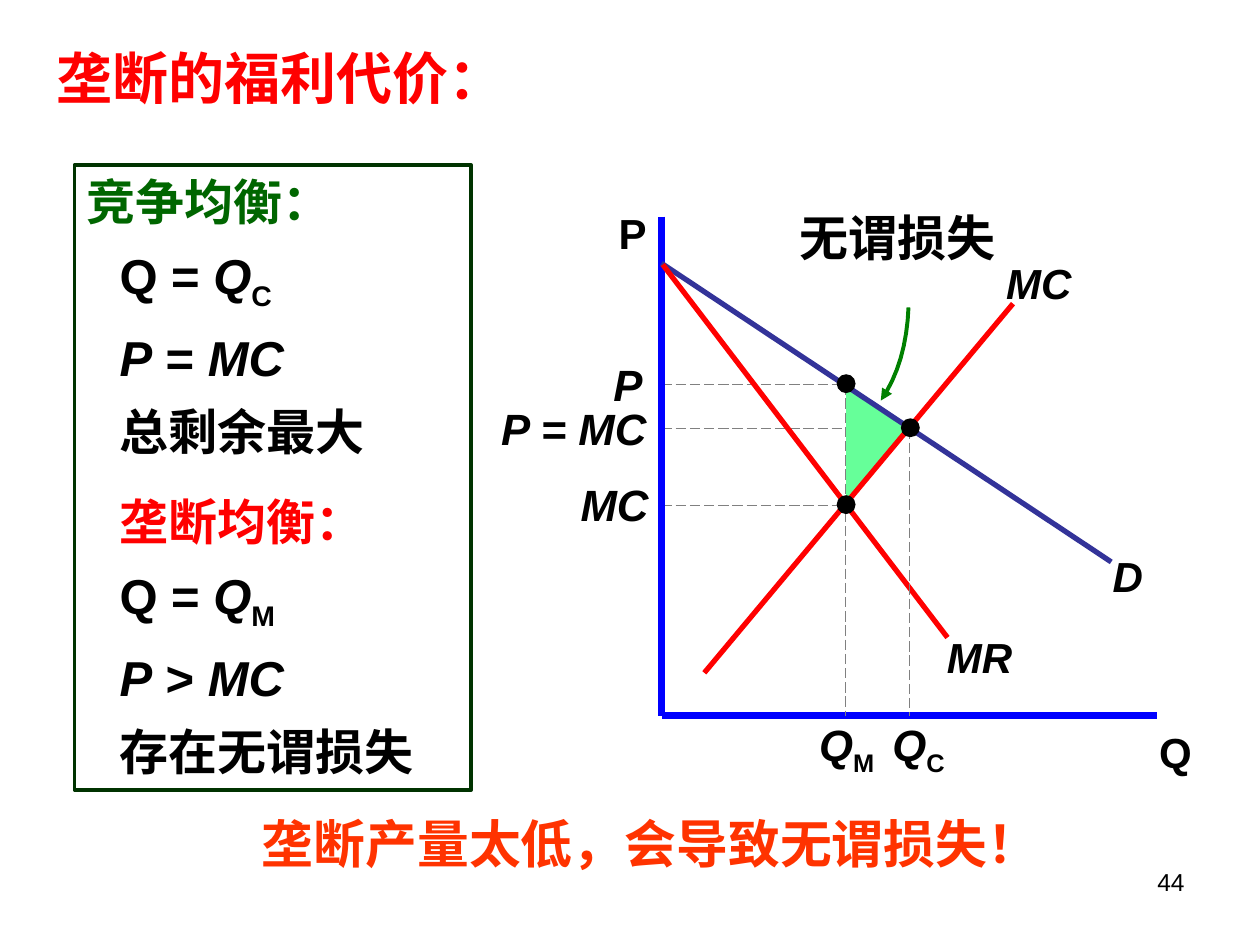
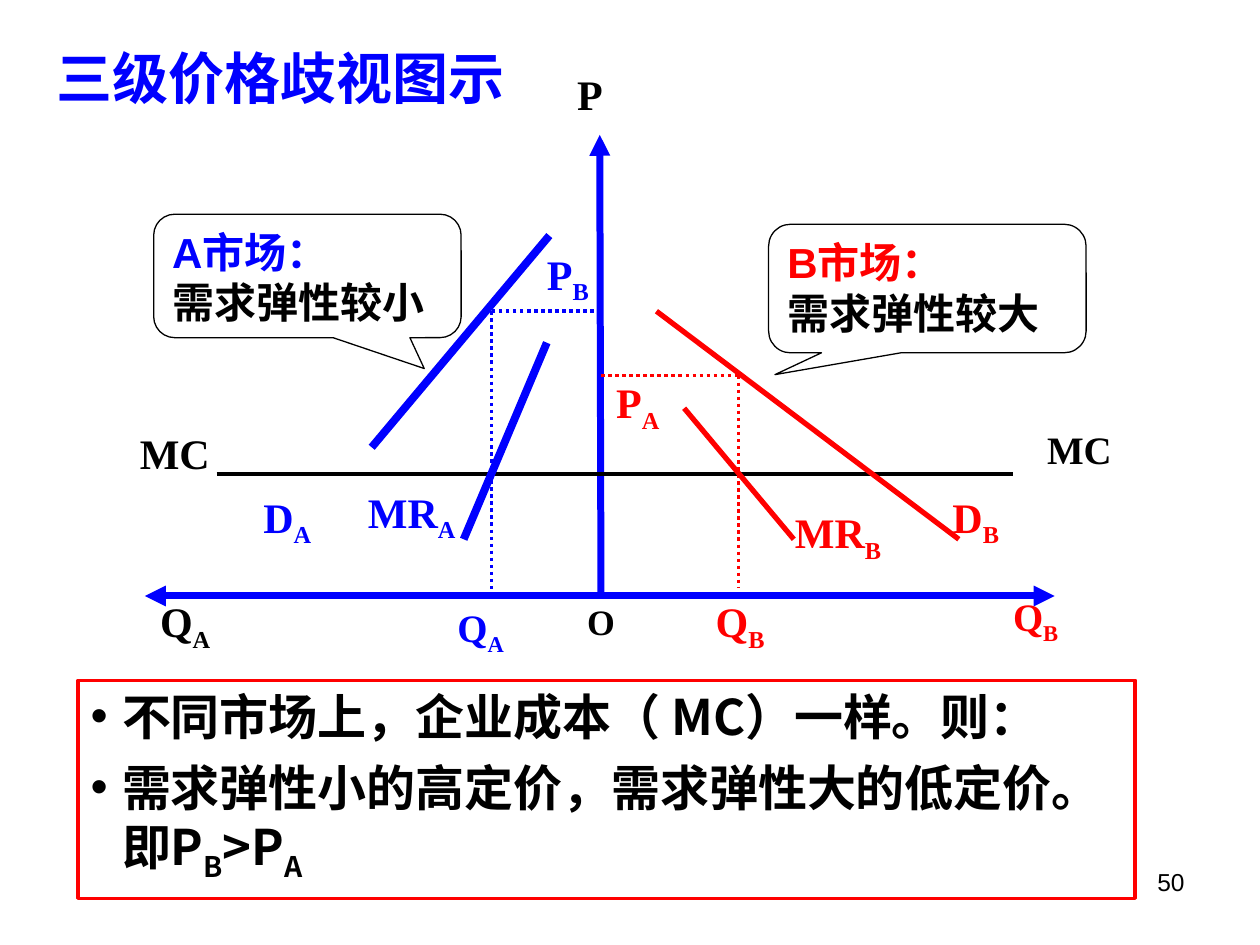
import pptx
import pptx.util
import pptx.dml.color
import pptx.enum.dml
import pptx.enum.shapes
import pptx.enum.text
import pptx.oxml.ns
import lxml.etree

Inches = pptx.util.Inches
Pt = pptx.util.Pt
RGBColor = pptx.dml.color.RGBColor
Shape = pptx.enum.shapes.MSO_SHAPE
Align = pptx.enum.text.PP_ALIGN
Anchor = pptx.enum.text.MSO_ANCHOR
Dash = pptx.enum.dml.MSO_LINE
qn = pptx.oxml.ns.qn

BLACK = RGBColor(0, 0, 0)
WHITE = RGBColor(255, 255, 255)
RED = RGBColor(255, 0, 0)
BLUE = RGBColor(0, 0, 255)
GRAY = RGBColor(128, 128, 128)
NAVY = RGBColor(51, 51, 153)
GREEN = RGBColor(0, 128, 0)
MINT = RGBColor(102, 255, 153)
DARK = RGBColor(0, 51, 0)
LEAF = RGBColor(0, 102, 0)
ORANGE = RGBColor(255, 51, 0)
SANS, SERIF, HAN = "Arial", "Times New Roman", "Noto Sans CJK SC"
WIDE = (0.1, 0.05, 0.1, 0.05)
SLIM = (0.05, 0.02, 0.05, 0.02)
NONE = (0, 0, 0, 0)


class Deck:
    def __init__(self):
        self.prs = pptx.Presentation()
        self.prs.slide_width = Inches(10)
        self.prs.slide_height = Inches(7.5)
        self.slide = None

    def start(self, title, color, number, font=SANS):
        self.slide = self.prs.slides.add_slide(self.prs.slide_layouts[6])
        box = self.text((0.35, 0.28, 9, 0.67), title, 32, color, font)
        box.text_frame.vertical_anchor = Anchor.MIDDLE
        self.text((7.17, 6.83, 2.33, 0.52), number, 14, bold=False, align=Align.RIGHT)

    def para(self, par, text, size, color=BLACK, font=SANS, bold=True,
             align=None, gap=0, lead=None, left=0, bullet=False):
        for part in text.split("|"):
            run = par.add_run()
            run.text = part.lstrip("*_")
            if part.startswith("*"):
                run.font.italic = True
            if part.startswith("_"):
                run._r.get_or_add_rPr().set("baseline", "-25000")
        props = par._p.get_or_add_pPr()
        if left:
            props.set("marL", str(Inches(left)))
        if bullet:
            props.set("indent", str(-Inches(left)))
            lxml.etree.SubElement(props, qn("a:buFont")).set("typeface", SANS)
            lxml.etree.SubElement(props, qn("a:buChar")).set("char", "•")
        par.font.size = Pt(size)
        par.font.bold = bold
        par.font.color.rgb = color
        par.font.name = font
        asian = lxml.etree.SubElement(props.find(qn("a:defRPr")), qn("a:ea"))
        asian.set("typeface", HAN)
        if align is not None:
            par.alignment = align
        if gap:
            par.space_before = Pt(gap)
        if lead:
            par.line_spacing = lead

    def fill(self, shape, rows, pad=WIDE):
        frame = shape.text_frame
        frame.word_wrap = True
        frame.vertical_anchor = Anchor.TOP
        sides = map(Inches, pad)
        (frame.margin_left, frame.margin_top,
         frame.margin_right, frame.margin_bottom) = sides
        for i, row in enumerate(rows):
            par = frame.paragraphs[0] if i == 0 else frame.add_paragraph()
            self.para(par, **{"align": Align.LEFT, **row})

    def text(self, at, text, size, color=BLACK, font=SANS, pad=WIDE, **more):
        box = self.slide.shapes.add_textbox(*map(Inches, at))
        self.fill(box, [dict(text=text, size=size, color=color, font=font, **more)], pad)
        return box

    def label(self, at, text, size=24, color=BLACK):
        lead = None if size == 24 else 0.9
        return self.text(at, text, size, color, SERIF, SLIM,
                         align=Align.JUSTIFY, lead=lead)

    def shape(self, kind, at, color=None, edge=None, width=0.75):
        shape = self.slide.shapes.add_shape(kind, *map(Inches, at))
        self.paint(shape, color, edge, width)
        return shape

    def paint(self, shape, color, edge, width):
        shape.shadow.inherit = False
        if color is None:
            shape.fill.background()
        else:
            shape.fill.solid()
            shape.fill.fore_color.rgb = color
        if edge is None:
            shape.line.fill.background()
        else:
            shape.line.color.rgb = edge
            shape.line.width = Pt(width)

    def tips(self, shape, *ends):
        line = shape.line._get_or_add_ln()
        for end in ends:
            lxml.etree.SubElement(line, qn("a:" + end)).set("type", "triangle")

    def line(self, x1, y1, x2, y2, color, width, dash=None, ends=()):
        kind = pptx.enum.shapes.MSO_CONNECTOR.STRAIGHT
        line = self.slide.shapes.add_connector(kind, *map(Inches, (x1, y1, x2, y2)))
        line.line.color.rgb = color
        line.line.width = Pt(width)
        if dash:
            line.line.dash_style = dash
        self.tips(line, *ends)
        lxml.etree.SubElement(line._element.spPr, qn("a:effectLst"))

    def guide(self, *ends):
        self.line(*ends, GRAY, 0.75, Dash.LONG_DASH)

    def curve(self, knots, color, width, steps=8):
        points = []
        for i in range(steps + 1):
            t = i / steps
            u = 1 - t
            mix = (u ** 3, 3 * u * u * t, 3 * u * t * t, t ** 3)
            points.append(tuple(Inches(sum(m * k[n] for m, k in zip(mix, knots)))
                                for n in (0, 1)))
        path = self.slide.shapes.build_freeform(*points[0])
        path.add_line_segments(points[1:], close=False)
        arc = path.convert_to_shape()
        self.paint(arc, None, color, width)
        self.tips(arc, "tailEnd")

    def call(self, at, adjust, head, color, body):
        box = self.shape(Shape.ROUNDED_RECTANGULAR_CALLOUT, at, WHITE, BLACK)
        for i, value in enumerate(adjust):
            box.adjustments[i] = value
        self.fill(box, [dict(text=head, size=24, color=color),
                        dict(text=body, size=24)])


def welfare(deck):
    deck.start("垄断的福利代价：", RED, "44")
    low, price, rival, cost = 5.68, 3.05, 3.4, 4.01
    axis, mono, comp = 5.25, 6.71, 7.22
    deck.guide(axis, rival, comp, rival)
    wedge = deck.shape(Shape.ISOSCELES_TRIANGLE, (6.49, 3.29, 0.93, 0.48), MINT)
    wedge.rotation = 90
    wedge.adjustments[0] = 0.36
    deck.text((6.12, 1.6, 2, 0.57), "无谓损失", 28, align=Align.CENTER)
    deck.curve([(7.21, 2.44), (7.2, 2.72), (7.13, 2.98), (6.99, 3.18)], GREEN, 2.25)
    for y in (cost, price):
        deck.guide(axis, y, mono, y)
    for x, y, text in ((3.88, 3.14, "*P = MC"), (4.77, 2.79, "*P"), (4.51, 3.74, "*MC")):
        deck.text((x, y, 1.5, 0.52), text, 25)

    panel = deck.shape(Shape.RECTANGLE, (0.59, 1.31, 3.15, 4.96), None, DARK, 2)
    item = dict(size=28, gap=7, lead=1.05, left=0.26)
    rows = [dict(text="竞争均衡：", size=28, color=LEAF)]
    rows += [dict(item, text=t) for t in ("Q = |*Q|_C", "*P| = |*MC", "总剩余最大")]
    rows.append(dict(text="垄断均衡：", size=28, color=RED, gap=17.5, left=0.26))
    rows += [dict(item, text=t) for t in ("Q = |*Q|_M", "*P| > |*MC", "存在无谓损失")]
    deck.fill(panel, rows)

    deck.line(axis, 1.72, axis, low, BLUE, 4)
    deck.line(axis, low, 9.18, low, BLUE, 4)
    deck.text((8.1, 5.77, 1.36, 0.4), "Q", 24, pad=NONE, align=Align.RIGHT)
    deck.text((3.49, 1.6, 1.74, 0.5), "P", 24, align=Align.RIGHT)
    for ends, color, name, at in (
            ((axis, 2.09, 8.82, 4.46), NAVY, "*D", (8.71, 4.37, 0.48, 0.4)),
            ((5.26, 2.1, 7.52, 5.06), RED, "*MR", (7.45, 5.01, 0.65, 0.4)),
            ((5.59, 5.34, 8.04, 2.41), RED, "*MC", (7.92, 2.04, 0.65, 0.4))):
        deck.line(*ends, color, 3)
        deck.text(at, name, 24, pad=NONE, align=Align.CENTER)
    for x, y, left, name in ((mono, price, 6.45, "*Q|_M"), (comp, rival, 7.02, "*Q|_C")):
        deck.guide(x, y, x, low)
        deck.text((left, 5.7, 0.54, 0.53), name, 25, pad=NONE, align=Align.CENTER)
    for x, y in ((mono, cost), (mono, price), (comp, rival)):
        deck.shape(Shape.OVAL, (x - 0.07, y - 0.08, 0.15, 0.15), BLACK)
    deck.text((1.98, 6.39, 7.15, 0.62), "垄断产量太低，会导致无谓损失！", 29.6, ORANGE)


def pricing(deck):
    deck.start("三级价格歧视图示", BLUE, "50", SERIF)
    mid, base = 4.77, 4.73
    deck.line(mid, base, 4.76, 1.07, BLUE, 4, ends=("tailEnd",))
    deck.line(1.72, 3.76, 8.04, 3.76, BLACK, 2.25)
    for x, y, foot, color in ((3.9, 2.47, 4.72, BLUE), (5.86, 2.98, 4.67, RED)):
        deck.line(mid, y, x, y, color, 2, Dash.ROUND_DOT)
        deck.line(x, y, x, foot, color, 2, Dash.ROUND_DOT)
    for ends in ((4.36, 1.87, 2.95, 3.55), (4.34, 2.72, 3.68, 4.28)):
        deck.line(*ends, BLUE, 4.5)
    for ends in ((5.43, 3.24, 6.3, 4.28), (5.21, 2.47, 7.61, 4.28)):
        deck.line(*ends, RED, 3)
    deck.line(1.15, base, 8.37, base, BLUE, 4, ends=("headEnd", "tailEnd"))

    for at, text, size, color in (
            ((1.22, 4.71, 0.71, 0.55), "Q|_A", 24, BLACK),
            ((7.99, 4.69, 0.73, 0.49), "Q|_B", 22.2, RED),
            ((4.53, 0.52, 0.48, 0.47), "P", 24, BLACK),
            ((4.84, 2.97, 0.63, 0.55), "P|_A", 24, RED),
            ((4.29, 1.95, 0.61, 0.78), "P|_B", 24, BLUE),
            ((2.87, 3.84, 0.92, 0.52), "MR|_A", 24, BLUE),
            ((4.61, 4.78, 0.44, 0.41), "O", 20.4, BLACK),
            ((8.26, 3.4, 0.78, 0.43), "MC", 22.2, BLACK),
            ((1.06, 3.37, 0.75, 0.51), "MC", 24, BLACK),
            ((6.26, 4, 0.97, 0.59), "MR|_B", 24, RED),
            ((2.04, 3.88, 0.75, 0.52), "D|_A", 24, BLUE),
            ((7.51, 3.88, 0.8, 0.59), "D|_B", 24, RED),
            ((3.58, 4.78, 0.71, 0.47), "Q|_A", 22.2, BLUE),
            ((5.63, 4.71, 0.61, 0.63), "Q|_B", 24, RED)):
        deck.label(at, text, size, color)

    panel = deck.shape(Shape.RECTANGLE, (0.62, 5.4, 8.39, 1.73), WHITE, RED, 2)
    item = dict(size=28, font=HAN, left=0.25, bullet=True)
    deck.fill(panel, [
        dict(item, text="不同市场上，企业成本（ MC）一样。则："),
        dict(item, gap=7, text="需求弹性小的高定价，需求弹性大的低定价。即P|_B|>P|_A")])
    deck.call((1.22, 1.7, 2.44, 0.98), (0.38, 0.75, 0.17), "A市场：", BLUE, "需求弹性较小")
    deck.call((6.1, 1.78, 2.52, 1.02), (-0.48, 0.67, 0.17), "B市场：", RED, "需求弹性较大")


def main():
    deck = Deck()
    welfare(deck)
    pricing(deck)
    deck.prs.save("out.pptx")


if __name__ == "__main__":
    main()
